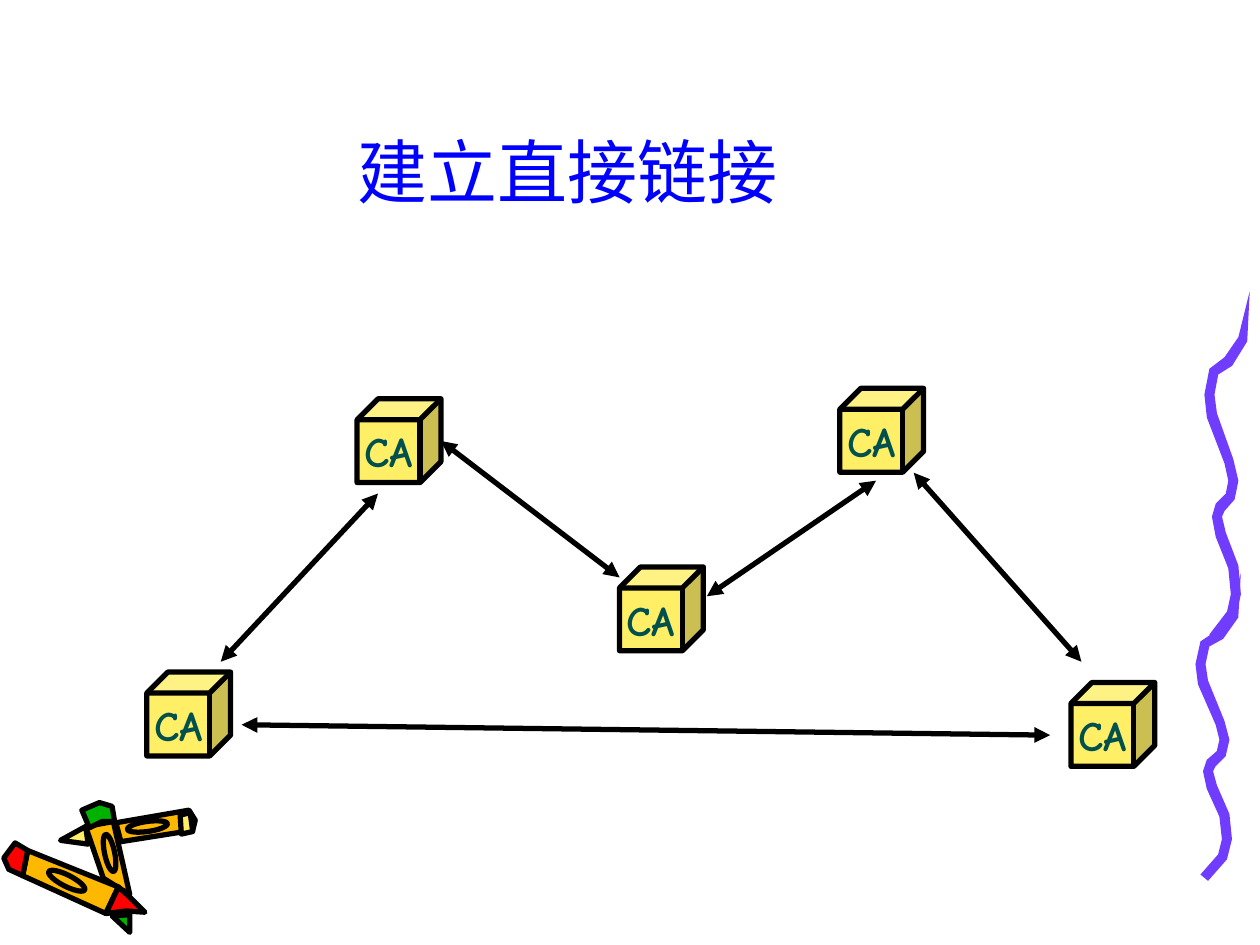
"""Build a slide showing certificate authorities joined by direct links."""
from dataclasses import dataclass
from math import hypot

from lxml.etree import SubElement
from pptx import Presentation
from pptx.dml.color import RGBColor as Color
from pptx.enum.shapes import MSO_CONNECTOR as Connector, MSO_SHAPE as Shape
from pptx.enum.text import MSO_ANCHOR as Anchor, MSO_AUTO_SIZE as AutoSize, PP_ALIGN as Align
from pptx.oxml.ns import qn
from pptx.util import Cm, Pt


@dataclass(frozen=True)
class Theme:
    font: str = "Comic Neue"
    title_size: int = 40
    label_size: int = 24
    line_width: int = 3
    title: str = "0000FF"
    label: str = "00504E"
    black: str = "000000"
    yellow: str = "FFEF66"
    red: str = "FF0000"
    orange: str = "FFB800"
    green: str = "00B200"
    purple: str = "703DFF"


THEME = Theme()
TITLE = "建立直接链接"
TITLE_BOX = (1.9, 0.43, 19.08, 3.99)
LABEL = "CA"
CUBE_SIZE = 1.69
CUBES = [(2.96, 13.55), (7.2, 8.04), (12.49, 11.43), (16.93, 7.83), (21.59, 13.76)]
LINKS = [
    (4.45, 13.34, 7.62, 9.95),
    (8.89, 8.89, 12.49, 11.64),
    (14.25, 12.02, 17.66, 9.69),
    (18.42, 9.53, 21.8, 13.34),
    (4.87, 14.61, 21.17, 14.82),
]
ART_UNIT = Cm(0.0254)
CRAYON_ORIGIN = (0, 15.24)
CRAYON_PARTS = [
    (THEME.yellow, [(68, 56), (48, 67), (70, 70)]),
    (THEME.orange, [(92, 53), (150, 43), (155, 51), (153, 59), (96, 68)]),
    (THEME.yellow, [(143, 47), (151, 45), (153, 60), (144, 62)]),
    (THEME.orange, [(68, 56), (90, 52), (103, 110), (82, 97)]),
    (THEME.green, [(65, 43), (79, 37), (89, 40), (91, 52), (81, 52), (71, 57)]),
    (THEME.green, [(89, 127), (103, 126), (103, 140)]),
    (THEME.orange, [(22, 75), (94, 104), (84, 125), (18, 95)]),
    (THEME.red, [(12, 69), (22, 75), (18, 95), (7, 90), (3, 81)]),
    (THEME.red, [(94, 104), (103, 112), (115, 124), (100, 123), (84, 125)]),
]
CRAYON_MARKS = [(53, 99, 32, 9, 27), (87, 77, 8, 30, -12), (117, 56, 32, 8, -8)]
SQUIGGLE_WIDTH = 8
SQUIGGLE_EDGE = [
    (4, 239), (18, 223), (21, 211), (19, 193), (9, 171), (6, 157), (9, 148), (17, 141),
    (19, 132), (16, 120), (2, 88), (0, 72), (4, 54), (16, 46), (27, 32), (36, 0),
]
SQUIGGLES = [((24.1, 11.56), 1), ((24.28, 5.87), 1.14)]


def paint(shape, color):
    shape.shadow.inherit = False
    shape.fill.solid()
    shape.fill.fore_color.rgb = Color.from_string(color)


def outline(line):
    line.color.rgb = Color.from_string(THEME.black)
    line.width = Pt(THEME.line_width)


def write(frame, text, size, color, bold=False):
    para = frame.paragraphs[0]
    para.alignment = Align.CENTER
    span = para.add_run()
    span.text = text
    span.font.name = THEME.font
    span.font.size = Pt(size)
    span.font.bold = bold
    span.font.color.rgb = Color.from_string(color)


def add_title(page):
    box = page.shapes.title
    box.left, box.top, box.width, box.height = map(Cm, TITLE_BOX)
    frame = box.text_frame
    frame.auto_size = AutoSize.NONE
    frame.vertical_anchor = Anchor.BOTTOM
    write(frame, TITLE, THEME.title_size, THEME.title)


def add_outline(page, color, points, origin, stretch=1):
    builder = page.shapes.build_freeform(*points[0], scale=(ART_UNIT, ART_UNIT * stretch))
    builder.add_line_segments(points[1:], close=True)
    shape = builder.convert_to_shape(*map(Cm, origin))
    paint(shape, color)
    return shape


def add_crayons(page):
    for color, points in CRAYON_PARTS:
        outline(add_outline(page, color, points, CRAYON_ORIGIN).line)
    left, top = map(Cm, CRAYON_ORIGIN)
    for x, y, width, height, angle in CRAYON_MARKS:
        mark = page.shapes.add_shape(
            Shape.OVAL, left + int((x - width / 2) * ART_UNIT),
            top + int((y - height / 2) * ART_UNIT), width * ART_UNIT, height * ART_UNIT)
        mark.rotation = angle
        paint(mark, THEME.orange)
        outline(mark.line)


def ribbon(edge, width):
    far_side = []
    for index, (x, y) in enumerate(edge[:-1]):
        before, after = edge[max(index - 1, 0)], edge[index + 1]
        run, rise = after[0] - before[0], after[1] - before[1]
        reach = width / hypot(run, rise)
        far_side.append((round(x - rise * reach), round(y + run * reach)))
    return edge + far_side[::-1]


def add_squiggles(page):
    points = ribbon(SQUIGGLE_EDGE, SQUIGGLE_WIDTH)
    for origin, stretch in SQUIGGLES:
        shape = add_outline(page, THEME.purple, points, origin, stretch)
        shape.line.fill.background()


def add_cube(page, left, top):
    cube = page.shapes.add_shape(Shape.CUBE, *map(Cm, (left, top, CUBE_SIZE, CUBE_SIZE)))
    paint(cube, THEME.yellow)
    outline(cube.line)
    frame = cube.text_frame
    frame.margin_left = frame.margin_right = frame.margin_top = frame.margin_bottom = 0
    frame.word_wrap = False
    frame.vertical_anchor = Anchor.MIDDLE
    write(frame, LABEL, THEME.label_size, THEME.label, bold=True)


def add_link(page, ends):
    link = page.shapes.add_connector(Connector.STRAIGHT, *map(Cm, ends))
    outline(link.line)
    properties = link._element.spPr
    for end in ("headEnd", "tailEnd"):
        SubElement(properties.find(qn("a:ln")), qn(f"a:{end}"), type="triangle")
    SubElement(properties, qn("a:effectLst"))


def main():
    deck = Presentation()
    deck.slide_width, deck.slide_height = Cm(25.4), Cm(19.05)
    page = deck.slides.add_slide(deck.slide_layouts.get_by_name("Title Only"))
    add_crayons(page)
    add_squiggles(page)
    add_title(page)
    for left, top in CUBES:
        add_cube(page, left, top)
    for ends in LINKS:
        add_link(page, ends)
    deck.save("out.pptx")


if __name__ == "__main__":
    main()
